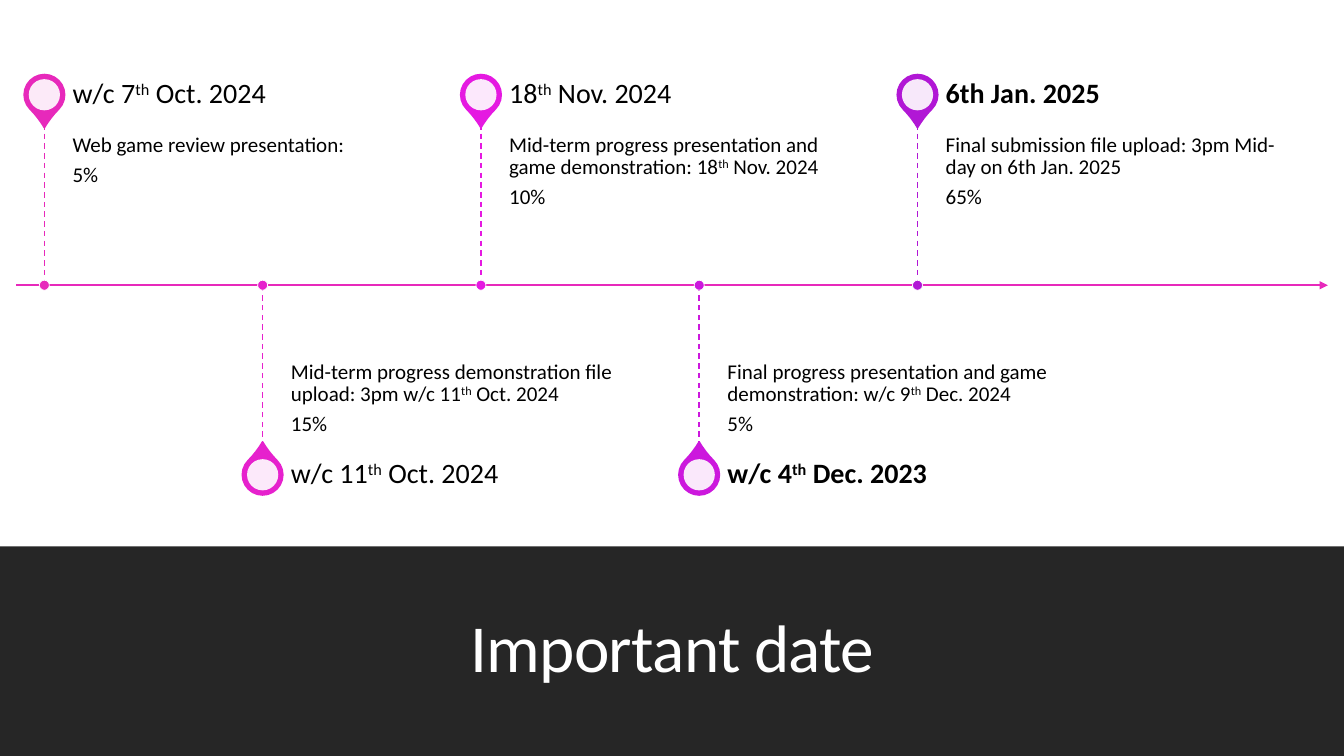
from pptx import Presentation, util as u
from pptx.dml.color import RGBColor
from pptx.enum import dml, shapes, text
from pptx.oxml.ns import qn
from lxml import etree


def colour(hex_code):
    return RGBColor.from_string(hex_code)


def add_text(paragraphs, left, top, width, height, size, fill="000000", bold=False,
             align=text.PP_ALIGN.LEFT, anchor=text.MSO_ANCHOR.TOP,
             insets=(0, 0, 0, 0), after=0, spacing=None):
    """Add a text box; parts between ^ marks are superscript."""
    box = slide.shapes.add_textbox(u.Inches(left), u.Inches(top), u.Inches(width), u.Inches(height))
    frame = box.text_frame
    frame.word_wrap = True
    frame.vertical_anchor = anchor
    (frame.margin_left, frame.margin_top,
     frame.margin_right, frame.margin_bottom) = map(u.Inches, insets)
    for number, wording in enumerate(paragraphs):
        paragraph = frame.paragraphs[0] if number == 0 else frame.add_paragraph()
        paragraph.alignment = align
        paragraph.line_spacing = 0.9
        paragraph.space_after = u.Pt(after)
        for part_number, part in enumerate(wording.split("^")):
            run = paragraph.add_run()
            run.text = part
            run.font.name = "Calibri"
            run.font.size = u.Pt(size)
            run.font.bold = bold
            run.font.color.rgb = colour(fill)
            if part_number % 2:
                run.font._element.set("baseline", "30000")
            if spacing is not None:
                run.font._element.set("spc", str(spacing))


deck = Presentation()
deck.slide_width, deck.slide_height = u.Inches(13.33), u.Inches(7.5)
slide = deck.slides.add_slide(deck.slide_layouts[6])

# Title band
band = slide.shapes.add_shape(shapes.MSO_SHAPE.RECTANGLE, 0, u.Inches(5.42),
                              u.Inches(13.33), u.Inches(2.08))
band.shadow.inherit = False
band.fill.solid()
band.fill.fore_color.rgb = colour("262626")
band.line.fill.background()
add_text(["Important date"], 1.17, 5.74, 11, 1.13, 48, fill="FFFFFF",
         align=text.PP_ALIGN.CENTER, anchor=text.MSO_ANCHOR.BOTTOM,
         insets=(0.1, 0.05, 0.1, 0.05), spacing=-50)

# Milestones: colour, date, bold date, details
milestones = [
    ("E729BB", "w/c 7^th^ Oct. 2024", False,
     ["Web game review presentation:", "5%"]),
    ("E621CD", "w/c 11^th^ Oct. 2024", False,
     ["Mid-term progress demonstration file upload: 3pm w/c 11^th^ Oct. 2024", "15%"]),
    ("E519E1", "18^th^ Nov. 2024", False,
     ["Mid-term progress presentation and game demonstration: 18^th^ Nov. 2024", "10%"]),
    ("CC18DD", "w/c 4^th^ Dec. 2023", True,
     ["Final progress presentation and game demonstration: w/c 9^th^ Dec. 2024", "5%"]),
    ("B117D5", "6th Jan. 2025", True,
     ["Final submission file upload: 3pm Mid-day on 6th Jan. 2025", "65%"]),
]
axis_y, first_x, step = 2.83, 0.44, 2.165
centres = [first_x + step * index for index in range(len(milestones))]

# Time axis and dashed stems
lines = [(0.16, axis_y, 13.17, axis_y, "E729BB", 1.5)]
for index, (x, milestone) in enumerate(zip(centres, milestones)):
    lines.append((x, 4.43 if index % 2 else 1.23, x, axis_y, milestone[0], 1))
for x1, y1, x2, y2, tint, weight in lines:
    line = slide.shapes.add_connector(shapes.MSO_CONNECTOR.STRAIGHT, u.Inches(x1), u.Inches(y1),
                                      u.Inches(x2), u.Inches(y2))
    line.line.color.rgb = colour(tint)
    line.line.width = u.Pt(weight)
    if y1 == y2:
        etree.SubElement(line.line._get_or_add_ln(), qn("a:tailEnd"), type="triangle")
    else:
        line.line.dash_style = dml.MSO_LINE.DASH
    etree.SubElement(line._element.spPr, qn("a:effectLst"))

# Pins, dots and wording, alternately above and below the axis
for index, (x, (tint, date, bold, details)) in enumerate(zip(centres, milestones)):
    below = index % 2 == 1
    pin_y = 4.71 if below else 0.94
    marks = [
        (shapes.MSO_SHAPE.TEAR, pin_y, 0.4, tint, tint, 1.25),
        (shapes.MSO_SHAPE.OVAL, pin_y, 0.31, "FFFFFF", None, 0),
        (shapes.MSO_SHAPE.OVAL, axis_y, 0.1, tint, "FFFFFF", 0.5),
    ]
    for kind, y, size, fill, outline, weight in marks:
        mark = slide.shapes.add_shape(kind, u.Inches(x - size / 2), u.Inches(y - size / 2),
                                      u.Inches(size), u.Inches(size))
        mark.shadow.inherit = False
        mark.fill.solid()
        mark.fill.fore_color.rgb = colour(fill)
        if outline:
            mark.line.color.rgb = colour(outline)
            mark.line.width = u.Pt(weight)
        else:
            mark.line.fill.background()
            white = mark._element.spPr.find(qn("a:solidFill"))[0]
            etree.SubElement(white, qn("a:alpha"), val="90000")
        if kind == shapes.MSO_SHAPE.TEAR:
            mark.adjustments[0] = 1.15
            mark.rotation = 315 if below else 135

    add_text(details, x + 0.28, axis_y if below else 1.23, 3.61, 1.6, 15, after=5.25,
             anchor=text.MSO_ANCHOR.BOTTOM if below else text.MSO_ANCHOR.TOP,
             insets=(0, 0.16, 0, 0.1) if below else (0, 0.1, 0.1, 0.16))
    add_text([date], x + 0.28, 4.43 if below else 0.66, 3.61, 0.56, 20, bold=bold,
             anchor=text.MSO_ANCHOR.MIDDLE, insets=(0, 0, 0.14, 0))

deck.save("out.pptx")
